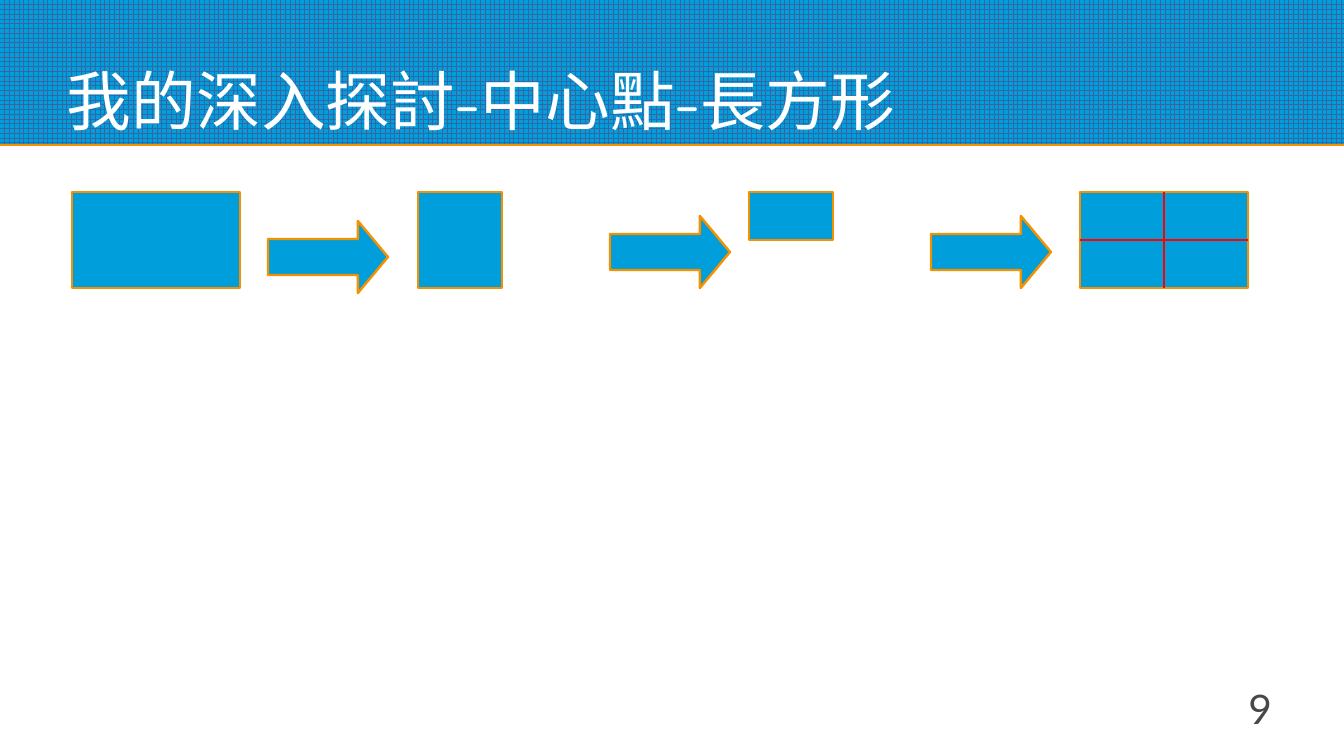
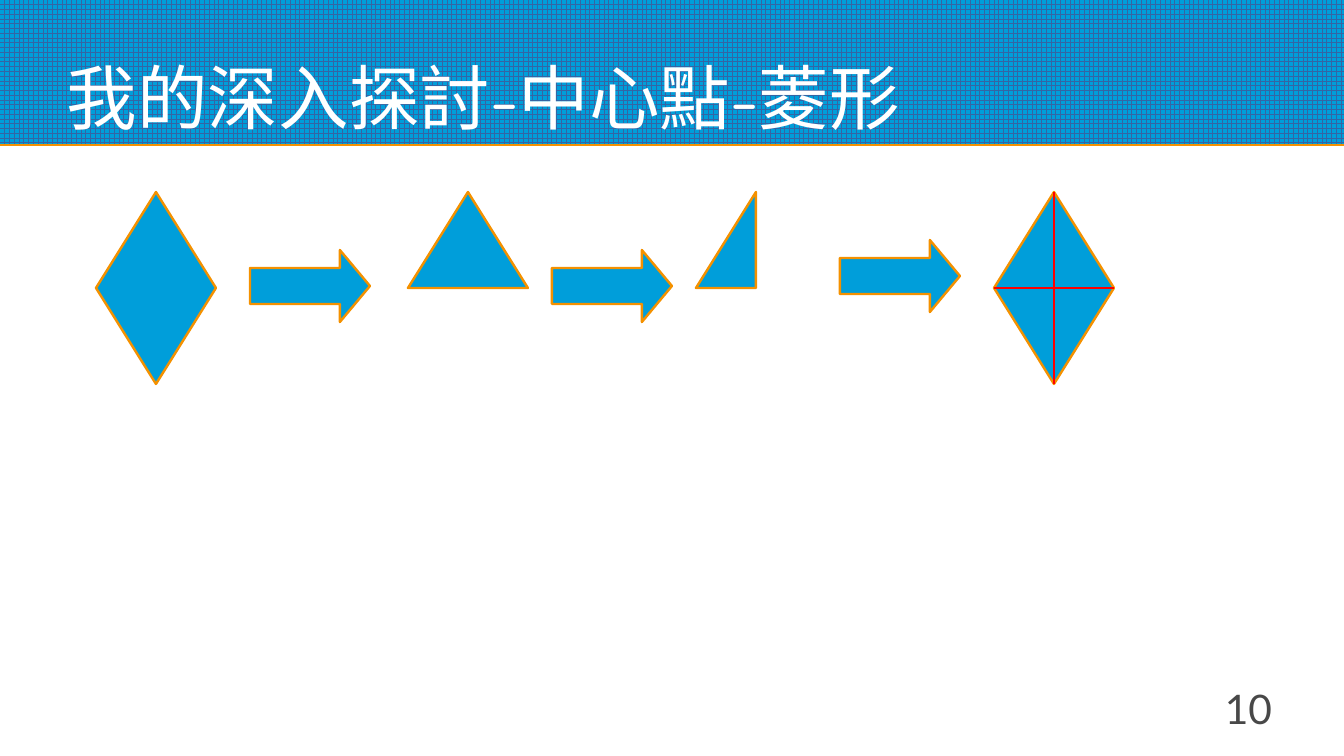
"""Build two slides that find the centre of a rectangle and of a rhombus by folding."""
from lxml.etree import SubElement
from pptx import Presentation
from pptx.dml.color import RGBColor as Color
from pptx.enum.dml import MSO_PATTERN as Pattern
from pptx.enum.shapes import MSO_CONNECTOR as Connector, MSO_SHAPE as Shape
from pptx.enum.text import MSO_ANCHOR as Anchor, PP_ALIGN as Align
from pptx.oxml.ns import qn
from pptx.util import Pt

PX = 914400 // 122
WIDTH, HEIGHT, BAND = 1344, 756, 144
TOP = 192
ARROW = (120, 72)


class Theme:
    blue = Color.from_string("009EDA")
    grid = Color.from_string("3465A4")
    orange = Color.from_string("F49100")
    red = Color.from_string("FF0000")
    white = Color.from_string("FFFFFF")
    grey = Color.from_string("484848")
    outline = Pt(1.42)
    title_font = "Comic Neue"
    number_font = "Lato"
    number_size = Pt(24)


SLIDES = [
    {
        "title": "我的深入探討-中心點-長方形",
        "title_size": Pt(38.2),
        "number": "9",
        "figures": [
            (Shape.RECTANGLE, 72, 168, 96),
            (Shape.RECTANGLE, 418, 84, 96),
            (Shape.RECTANGLE, 749, 84, 48),
            (Shape.RECTANGLE, 1080, 168, 96),
        ],
        "arrows": [(268, 221), (610, 216), (931, 216)],
    },
    {
        "title": "我的深入探討-中心點-菱形",
        "title_size": Pt(41.6),
        "number": "10",
        "figures": [
            (Shape.DIAMOND, 96, 120, 192),
            (Shape.ISOSCELES_TRIANGLE, 408, 120, 96),
            (Shape.RIGHT_TRIANGLE, 696, 60, 96),
            (Shape.DIAMOND, 994, 120, 192),
        ],
        "arrows": [(250, 250), (552, 250), (840, 240)],
    },
]


def add_figure(slide, kind, *box):
    shape = slide.shapes.add_shape(kind, *(value * PX for value in box))
    shape.shadow.inherit = False
    shape.fill.solid()
    shape.fill.fore_color.rgb = Theme.blue
    shape.line.color.rgb = Theme.orange
    shape.line.width = Theme.outline
    return shape


def add_text(slide, text, box, anchor, align, font):
    frame = slide.shapes.add_textbox(*(value * PX for value in box)).text_frame
    layout = {"word_wrap": True, "vertical_anchor": anchor}
    layout |= {f"margin_{side}": 0 for side in ("left", "top", "right", "bottom")}
    for name, value in layout.items():
        setattr(frame, name, value)
    paragraph = frame.paragraphs[0]
    paragraph.alignment = align
    run = paragraph.add_run()
    run.text = text
    for name, value in font.items():
        setattr(run.font, name, value)
    return run


presentation = Presentation()
presentation.slide_width = WIDTH * PX
presentation.slide_height = HEIGHT * PX

for content in SLIDES:
    slide = presentation.slides.add_slide(presentation.slide_layouts[6])

    rule = add_figure(slide, Shape.RECTANGLE, 0, BAND, WIDTH, 2)
    rule.fill.fore_color.rgb = Theme.orange
    rule.line.fill.background()

    band = add_figure(slide, Shape.RECTANGLE, 0, 0, WIDTH, BAND)
    band.line.fill.background()
    band.fill.patterned()
    band.fill.pattern = Pattern.LARGE_GRID
    band.fill.fore_color.rgb = Theme.grid
    band.fill.back_color.rgb = Theme.blue

    title = add_text(slide, content["title"], (67, 12, 1210, 127), Anchor.BOTTOM, Align.LEFT,
                     {"name": Theme.title_font, "size": content["title_size"]})
    title.font.color.rgb = Theme.white

    for kind, left, width, height in content["figures"]:
        figure = add_figure(slide, kind, left, TOP, width, height)
        if kind == Shape.RIGHT_TRIANGLE:
            figure._element.spPr.xfrm.set("flipH", "1")

    for left, top in content["arrows"]:
        arrow = add_figure(slide, Shape.RIGHT_ARROW, left, top, *ARROW)
        arrow.adjustments[1] = 0.417

    kind, left, width, height = content["figures"][-1]
    middle_x, middle_y = left + width // 2, TOP + height // 2
    folds = [
        (left, middle_y, left + width, middle_y),
        (middle_x, TOP, middle_x, TOP + height),
    ]
    for ends in folds:
        fold = slide.shapes.add_connector(Connector.STRAIGHT, *(value * PX for value in ends))
        fold.line.color.rgb = Theme.red
        fold.line.width = Theme.outline
        SubElement(fold._element.spPr, qn("a:effectLst"))

    number = add_text(slide, content["number"], (960, 684, 312, 60), Anchor.TOP, Align.RIGHT,
                      {"name": Theme.number_font, "size": Theme.number_size})
    number.font.color.rgb = Theme.grey

presentation.save("out.pptx")
